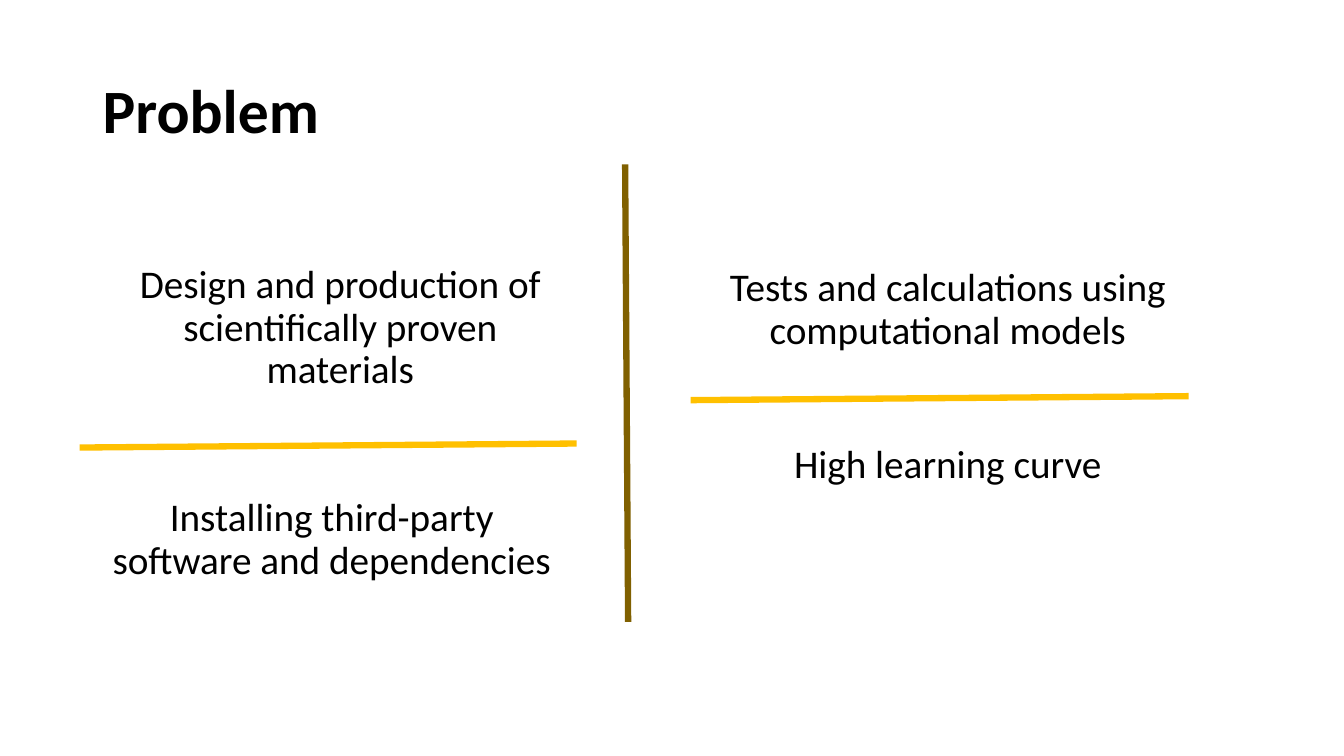
import pptx
import pptx.dml.color
import pptx.enum.shapes
import pptx.enum.text
import pptx.util
from dataclasses import dataclass
from lxml import etree
from pptx.oxml.ns import qn

Inches = pptx.util.Inches
Pt = pptx.util.Pt
Color = pptx.dml.color.RGBColor
Align = pptx.enum.text.PP_ALIGN
Anchor = pptx.enum.text.MSO_ANCHOR


@dataclass
class Theme:
    font: str = "Calibri"
    ink: str = "000000"
    gold: str = "FFC000"
    brown: str = "806000"
    title: int = 44
    body: int = 28
    rule: float = 4.5


theme = Theme()
deck = pptx.Presentation()
deck.slide_width = Inches(13.33)
deck.slide_height = Inches(7.5)
slide = deck.slides.add_slide(deck.slide_layouts[6])


def add_text(text, area, size, align, anchor, bold=False):
    box = slide.shapes.add_textbox(*map(Inches, area))
    frame = box.text_frame
    frame.word_wrap = True
    frame.vertical_anchor = anchor
    para = frame.paragraphs[0]
    para.alignment = align
    para.line_spacing = 0.9
    run = para.add_run()
    run.text = text
    run.font.name = theme.font
    run.font.size = Pt(size)
    run.font.bold = bold
    run.font.color.rgb = Color.from_string(theme.ink)


add_text("Problem", (0.92, 0.4, 8.33, 1.46), theme.title,
         Align.LEFT, Anchor.MIDDLE, bold=True)

points = [
    ("Design and production of scientifically proven materials",
     (1.1, 2.58, 4.55, 1.58)),
    ("Installing third-party software and dependencies",
     (0.86, 4.89, 4.86, 1.07)),
    ("High learning curve", (6.62, 4.36, 5.56, 0.62)),
    ("Tests and calculations using computational models",
     (6.62, 2.61, 5.56, 1.06)),
]
for text, area in points:
    add_text(text, area, theme.body, Align.CENTER, Anchor.TOP)

rules = [
    ((0.79, 4.44, 5.72, 4.4), theme.gold),
    ((6.85, 3.97, 11.79, 3.93), theme.gold),
    ((6.2, 1.63, 6.23, 6.17), theme.brown),
]
for ends, color in rules:
    rule = slide.shapes.add_connector(
        pptx.enum.shapes.MSO_CONNECTOR.STRAIGHT, *map(Inches, ends))
    rule.line.color.rgb = Color.from_string(color)
    rule.line.width = Pt(theme.rule)
    etree.SubElement(rule._element.spPr, qn("a:effectLst"))

deck.save("out.pptx")
